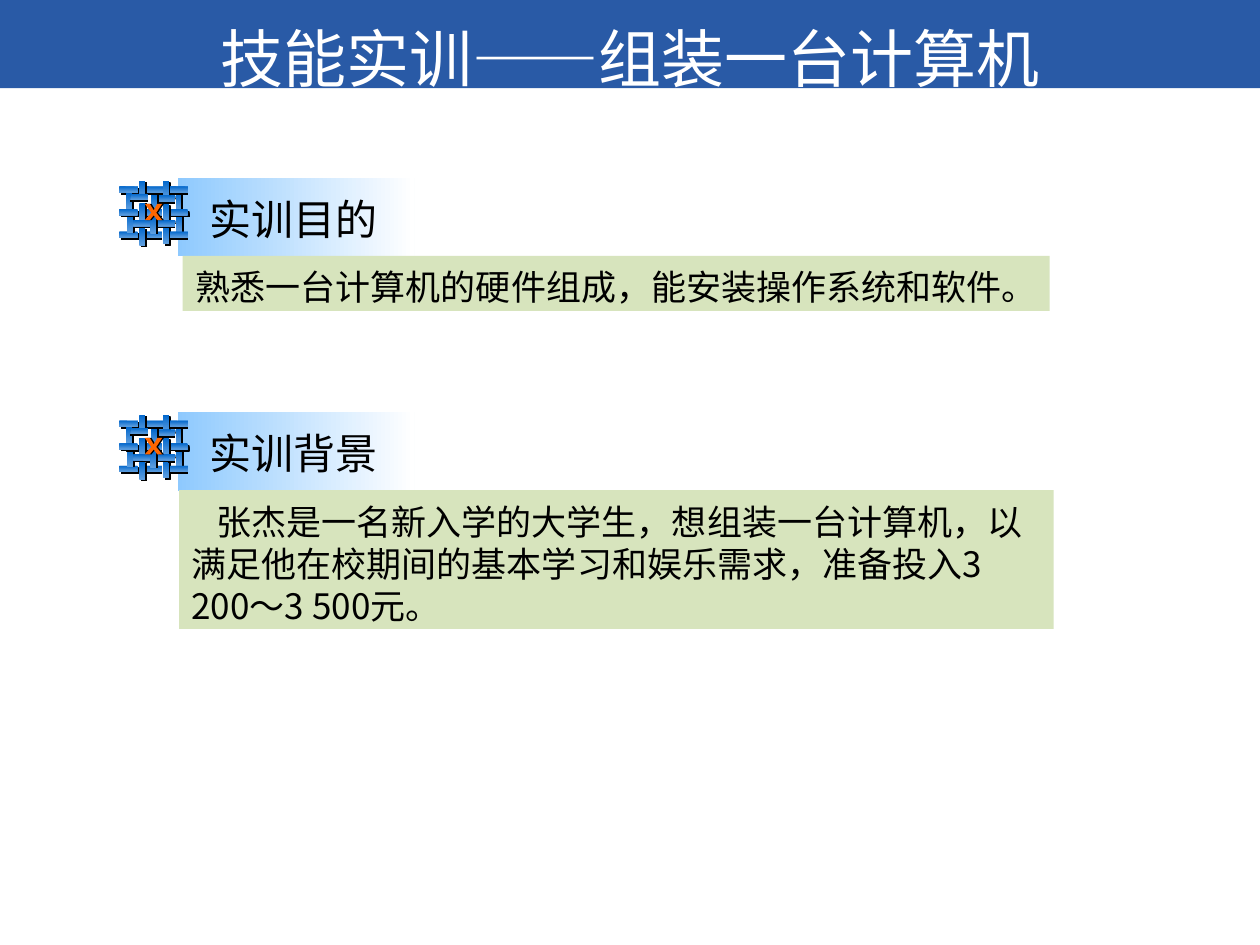
import pptx
import pptx.dml.color
import pptx.enum.shapes
import pptx.enum.text
import pptx.oxml
import pptx.oxml.ns
import pptx.util
from lxml import etree

Cm = pptx.util.Cm
ALIGN = pptx.enum.text.PP_ALIGN
CJK_FONT = "Noto Sans CJK SC"

# Emblem bars: direction, left, top, length, shadow angle (cm and degrees)
EMBLEM_BARS = [
    ("h", 0, 0.18, 0.38, 45), ("h", 0, 1.09, 0.36, 45),
    ("h", 0.51, 0.64, 0.36, 90), ("h", 0.48, 0.18, 0.51, 90),
    ("h", 0.51, 1.09, 0.36, 90),
    ("v", 0.03, 0.41, 0.34, 0), ("v", 0.03, 0.86, 0.36, 0),
    ("v", 1.02, 0.41, 0.34, 0), ("v", 1.02, 0.86, 0.36, 0),
    ("h", 0, 0.64, 0.36, 45),
    ("v", 0.28, 0.18, 0.36, 45), ("v", 0.28, 1.12, 0.36, 45),
    ("v", 0.28, 0.64, 0.36, 0), ("v", 0.76, 0.18, 0.36, 45),
    ("v", 0.76, 1.09, 0.36, 45),
    ("h", 0.99, 0.64, 0.38, 45), ("v", 0.76, 0.64, 0.36, 45),
    ("h", 0.74, 0.86, 0.38, 90), ("h", 0.28, 0.86, 0.36, 90),
    ("h", 1.02, 1.09, 0.36, 90), ("h", 1.02, 0.18, 0.36, 90),
    ("h", 0.76, 0.36, 0.36, 90), ("h", 0.23, 0.33, 0.36, 90),
    ("v", 0.53, 0.46, 0.34, 0), ("v", 0.51, 0.89, 0.34, 0),
]
# Outline of the emblem's centre cross, in hundredths of a cm
CROSS_POINTS = [(51, 53), (64, 71), (51, 86), (61, 86), (69, 76), (76, 86),
                (86, 86), (74, 71), (86, 53), (76, 53), (69, 66), (61, 53)]


def color(hex_value):
    return pptx.dml.color.RGBColor.from_string(hex_value)


def add_rectangle(shapes, left, top, width, height, fill):
    shape = shapes.add_shape(pptx.enum.shapes.MSO_SHAPE.RECTANGLE,
                             Cm(left), Cm(top), Cm(width), Cm(height))
    shape.shadow.inherit = False
    shape.line.fill.background()
    if isinstance(fill, str):
        shape.fill.solid()
        shape.fill.fore_color.rgb = color(fill)
    else:
        start, end, angle = fill
        shape.fill.gradient()
        shape.fill.gradient_angle = angle
        for stop, value, position in zip(shape.fill.gradient_stops, (start, end), (0, 1)):
            stop.color.rgb = color(value)
            stop.position = position
    return shape


def add_hard_shadow(shape, angle, distance):
    """Give the shape an unblurred black shadow."""
    shape.shadow.inherit = False
    effects = shape._element.spPr.find(pptx.oxml.ns.qn("a:effectLst"))
    shadow = etree.SubElement(effects, pptx.oxml.ns.qn("a:outerShdw"),
                              blurRad="0", dist=str(pptx.util.Pt(distance)),
                              dir=str(angle * 60000), algn="ctr", rotWithShape="0")
    etree.SubElement(shadow, pptx.oxml.ns.qn("a:srgbClr"), val="000000")


def write_text(shape, runs, size, text_color, align=ALIGN.LEFT, wrap=True,
               left_inset=0.25, first_indent=0):
    """Write one paragraph from (text, font) runs, with lines 1.2 times the size."""
    frame = shape.text_frame
    frame.word_wrap = wrap
    frame.vertical_anchor = pptx.enum.text.MSO_ANCHOR.TOP
    frame.margin_left, frame.margin_right = Cm(left_inset), Cm(0.25)
    frame.margin_top, frame.margin_bottom = Cm(0.13 + size * 0.0035), 0
    paragraph = frame.paragraphs[0]
    paragraph.alignment = align
    paragraph.line_spacing = pptx.util.Pt(size * 1.2)
    if first_indent:
        properties = paragraph._p.get_or_add_pPr()
        properties.set("marL", "0")
        properties.set("indent", str(Cm(first_indent)))
    for text, font_name in runs:
        run = paragraph.add_run()
        run.text = text
        run.font.name = font_name
        run.font.size = pptx.util.Pt(size)
        run.font.color.rgb = color(text_color)
        etree.SubElement(run._r.get_or_add_rPr(), pptx.oxml.ns.qn("a:ea"),
                         typeface=CJK_FONT)


def add_title(slide, left, top, width, height):
    add_rectangle(slide.shapes, left, top, width, height, "295AA6")
    title = slide.shapes.add_textbox(Cm(left), Cm(top + 0.13), Cm(width), Cm(height))
    write_text(title, [("技能实训", "Calibri"), ("——", CJK_FONT),
                       ("组装一台计算机", "Calibri")], 36, "FFFFFF", ALIGN.CENTER)


def add_emblem(shapes, left, top):
    for direction, x, y, length, shadow_angle in EMBLEM_BARS:
        vertical = direction == "v"
        bar = add_rectangle(shapes, left + x, top + y, length, 0.12,
                            ("0066CC", "5D9EDF", 180 if vertical else 270))
        bar.rotation = 270 if vertical else 0.3
        add_hard_shadow(bar, shadow_angle, 1.4 if shadow_angle == 45 else 1)

    # Orange cross in the middle
    builder = shapes.build_freeform(*CROSS_POINTS[0], scale=Cm(0.01))
    builder.add_line_segments(CROSS_POINTS[1:], close=True)
    cross = builder.convert_to_shape(Cm(left), Cm(top))
    cross.fill.solid()
    cross.fill.fore_color.rgb = color("FF6600")
    cross.line.fill.background()
    add_hard_shadow(cross, 0, 1)


def add_section(slide, left, top, heading, body, body_box, **body_format):
    """Place an emblem, a heading band and a body panel from the given corner."""
    shapes = slide.shapes.add_group_shape().shapes
    add_rectangle(shapes, left + 1.17, top, 4.78, 1.59, ("8EC9FE", "FFFFFF", 0))
    add_emblem(shapes, left, top)

    # Heading
    label = shapes.add_textbox(Cm(left + 1.37), Cm(top + 0.1), Cm(5.59), Cm(1.27))
    write_text(label, [(heading, CJK_FONT)], 24, "000000", left_inset=0.44)

    # Body panel
    x, y, width, height = body_box
    panel = add_rectangle(shapes, left + x, top + y, width, height, "D7E4BD")
    write_text(panel, [(body, CJK_FONT)], 20, "000000", **body_format)


def main():
    presentation = pptx.Presentation()
    presentation.slide_width, presentation.slide_height = Cm(25.4), Cm(19.05)
    slide = presentation.slides.add_slide(presentation.slide_layouts[6])
    add_title(slide, 0, 0, 25.4, 1.78)
    add_section(slide, 2.41, 3.58, "实训目的",
                "熟悉一台计算机的硬件组成，能安装操作系统和软件。",
                (1.27, 1.58, 17.48, 1.11), align=ALIGN.RIGHT, wrap=False)
    add_section(slide, 2.41, 8.3, "实训背景",
                "张杰是一名新入学的大学生，想组装一台计算机，以满足他在校期间的"
                "基本学习和娱乐需求，准备投入3 200～3 500元。",
                (1.2, 1.58, 17.63, 2.8), first_indent=0.5)
    presentation.save("out.pptx")


if __name__ == "__main__":
    main()
